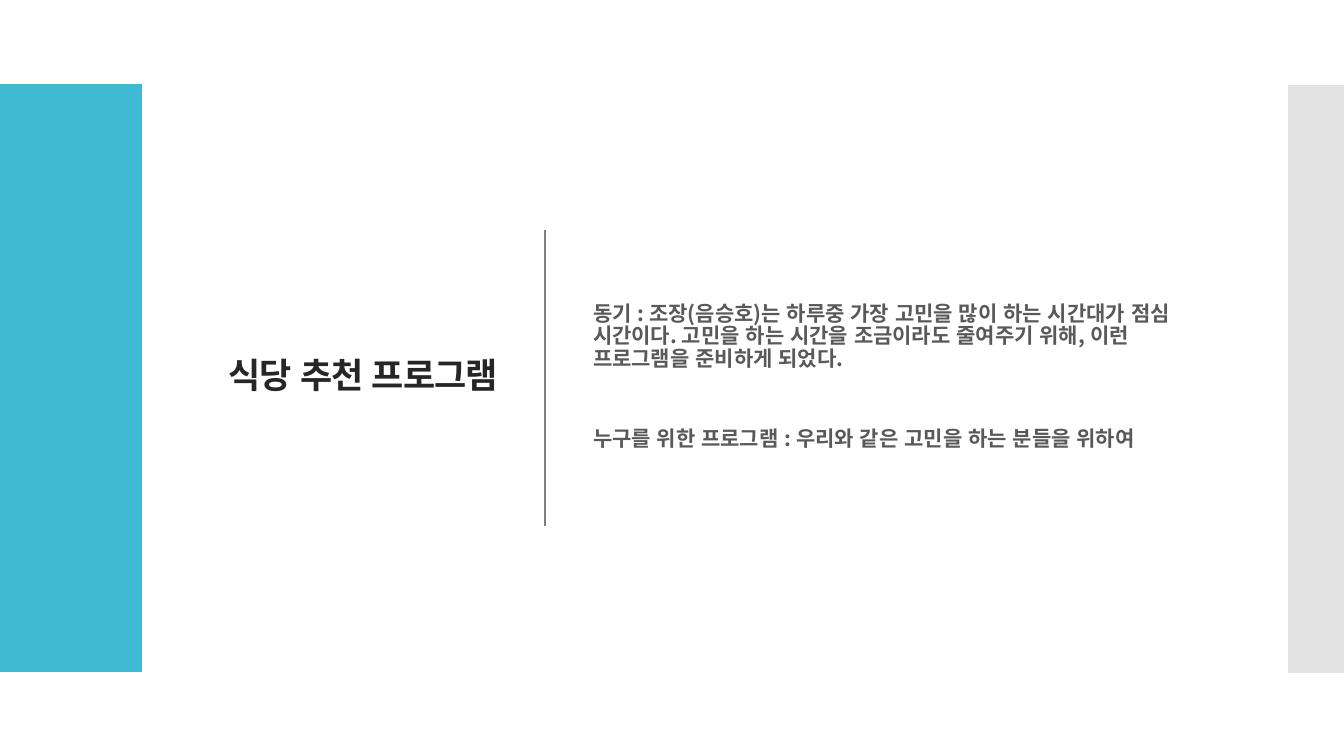
from dataclasses import dataclass

from lxml import etree
from pptx import Presentation
from pptx.dml.color import RGBColor
from pptx.enum.shapes import MSO_CONNECTOR, MSO_SHAPE
from pptx.enum.text import MSO_ANCHOR, MSO_AUTO_SIZE, PP_ALIGN
from pptx.oxml.ns import qn
from pptx.util import Emu, Pt

EMU_PER_PX = 914400 / 100.8
SLIDE_WIDTH, SLIDE_HEIGHT = 1344, 756

TEAL = RGBColor(0x40, 0xBA, 0xD2)
LIGHT_GRAY = RGBColor(0xC8, 0xC8, 0xC8)
LINE_GRAY = RGBColor(0x80, 0x80, 0x80)
TITLE_COLOR = RGBColor(0x26, 0x26, 0x26)
BODY_COLOR = RGBColor(0x59, 0x59, 0x59)

FONT = "Noto Sans CJK KR"
RECTANGLE = MSO_SHAPE.RECTANGLE
STRAIGHT = MSO_CONNECTOR.STRAIGHT
MIDDLE = MSO_ANCHOR.MIDDLE
NO_AUTOFIT = MSO_AUTO_SIZE.NONE
LEFT, RIGHT = PP_ALIGN.LEFT, PP_ALIGN.RIGHT


@dataclass
class Bar:
    left: int
    top: int
    width: int
    height: int
    color: RGBColor
    opacity: int = 100


@dataclass
class TextBlock:
    left: int
    top: int
    width: int
    height: int
    paragraphs: list[str]
    space_before: list[int]
    size: int
    color: RGBColor
    alignment: PP_ALIGN
    letter_spacing: int = 0


BARS = [
    Bar(0, 84, 142, 588, TEAL),
    Bar(1288, 85, 56, 588, LIGHT_GRAY, opacity=50),
]

TITLE = TextBlock(169, 95, 339, 564, ["식당 추천 프로그램"], [0], 25,
                  TITLE_COLOR, RIGHT, letter_spacing=-60)

BODY = TextBlock(
    583, 95, 651, 564,
    [
        "동기 : 조장(음승호)는 하루중 가장 고민을 많이 하는 시간대가 점심 시간이다. "
        "고민을 하는 시간을 조금이라도 줄여주기 위해, 이런 프로그램을 준비하게 되었다.",
        "누구를 위한 프로그램 : 우리와 같은 고민을 하는 분들을 위하여",
    ],
    [12, 41], 15, BODY_COLOR, LEFT)


def px(length: int) -> Emu:
    return Emu(round(length * EMU_PER_PX))


def draw_bar(slide, bar: Bar) -> None:
    shape = slide.shapes.add_shape(
        RECTANGLE, px(bar.left), px(bar.top), px(bar.width), px(bar.height))
    shape.shadow.inherit = False
    shape.fill.solid()
    shape.fill.fore_color.rgb = bar.color
    shape.line.fill.background()
    if bar.opacity < 100:
        color = shape.fill._xPr.find(qn("a:solidFill"))[0]
        etree.SubElement(color, qn("a:alpha"), val=str(bar.opacity * 1000))


def draw_divider(slide, x: int, top: int, bottom: int) -> None:
    divider = slide.shapes.add_connector(STRAIGHT, px(x), px(top), px(x), px(bottom))
    divider.line.color.rgb = LINE_GRAY
    divider.line.width = Pt(1)
    etree.SubElement(divider._element.spPr, qn("a:effectLst"))


def fill_placeholder(shape, block: TextBlock) -> None:
    shape.left, shape.top = px(block.left), px(block.top)
    shape.width, shape.height = px(block.width), px(block.height)
    frame = shape.text_frame
    frame.text = "\n".join(block.paragraphs)
    frame.word_wrap = True
    frame.auto_size = NO_AUTOFIT
    frame.vertical_anchor = MIDDLE
    for paragraph, space in zip(frame.paragraphs, block.space_before):
        paragraph.alignment = block.alignment
        paragraph.line_spacing = 0.9
        paragraph.space_before = Pt(space)
        # Plain text without bullet or hanging indent
        properties = paragraph._p.get_or_add_pPr()
        properties.set("marL", "0")
        properties.set("indent", "0")
        etree.SubElement(properties, qn("a:buNone"))
        for run in paragraph.runs:
            run.font.name = FONT
            run.font.size = Pt(block.size)
            run.font.bold = True
            run.font.color.rgb = block.color
            run_properties = run._r.get_or_add_rPr()
            run_properties.set("lang", "ko-KR")
            run_properties.set("spc", str(block.letter_spacing))
            etree.SubElement(run_properties, qn("a:ea"), typeface=FONT)


def main() -> None:
    presentation = Presentation()
    presentation.slide_width = px(SLIDE_WIDTH)
    presentation.slide_height = px(SLIDE_HEIGHT)
    slide = presentation.slides.add_slide(presentation.slide_layouts[1])

    # Title and body text
    fill_placeholder(slide.shapes.title, TITLE)
    fill_placeholder(slide.placeholders[1], BODY)

    # Side bars and the divider between title and body
    for bar in BARS:
        draw_bar(slide, bar)
    draw_divider(slide, x=545, top=230, bottom=526)

    presentation.save("out.pptx")


if __name__ == "__main__":
    main()
